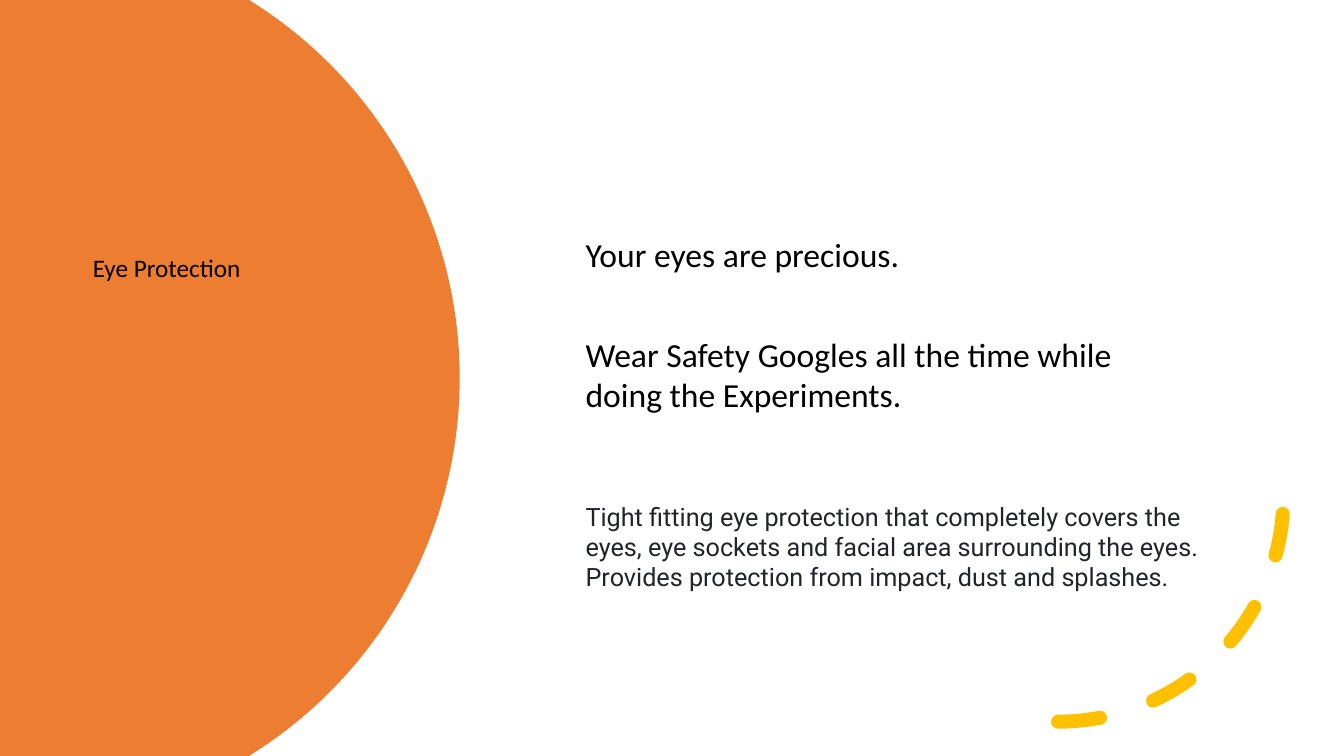
from dataclasses import dataclass
from math import asin, cos, sin

from pptx import Presentation
from pptx.dml.color import RGBColor
from pptx.enum.dml import MSO_LINE
from pptx.enum.shapes import MSO_SHAPE
from pptx.enum.text import MSO_ANCHOR, MSO_AUTO_SIZE, PP_ALIGN
from pptx.util import Emu, Pt

EMU_PER_PX = 9144
SLIDE_WIDTH, SLIDE_HEIGHT = 1333, 750
DISC_CENTER_X, DISC_CENTER_Y, DISC_RADIUS = 15, 375, 441
DISC_STEPS = 120
COLORS = {
    "disc": "ED7D31",
    "arc": "FFC000",
    "text": "000000",
    "detail": "212529",
}


@dataclass(frozen=True)
class Message:
    text: str
    left: int
    top: int
    width: int
    height: int
    size: int
    font: str = "Calibri"
    color: str = "text"
    wrap: bool = True


HEADING = Message("Eye Protection", 82, 245, 174, 40, 18, wrap=False)
ADVICE = [
    Message("Your eyes are precious.", 571, 227, 528, 50, 24),
    Message("Wear Safety Googles all the time while doing the Experiments.",
            571, 326, 564, 91, 24),
    Message("Tight fitting eye protection that completely covers the eyes, "
            "eye sockets and facial area surrounding the eyes. "
            "Provides protection from impact, dust and splashes.",
            571, 492, 667, 131, 18, "Roboto", "detail"),
]


def px(value: float) -> Emu:
    return Emu(round(value * EMU_PER_PX))


def rgb(name: str) -> RGBColor:
    return RGBColor.from_string(COLORS[name])


def draw_disc(slide) -> None:
    half_angle = asin(DISC_CENTER_Y / DISC_RADIUS)
    angles = [half_angle * (2 * step / DISC_STEPS - 1)
              for step in range(DISC_STEPS + 1)]
    rim = [(px(DISC_CENTER_X + DISC_RADIUS * cos(angle)),
            px(DISC_CENTER_Y + DISC_RADIUS * sin(angle))) for angle in angles]
    outline = slide.shapes.build_freeform(0, 0, scale=1.0)
    outline.add_line_segments([*rim, (0, px(SLIDE_HEIGHT))], close=True)
    disc = outline.convert_to_shape()
    disc.shadow.inherit = False
    disc.fill.solid()
    disc.fill.fore_color.rgb = rgb("disc")
    disc.line.fill.background()


def draw_dashed_arc(slide) -> None:
    arc = slide.shapes.add_shape(MSO_SHAPE.ARC, px(826), px(269), px(447), px(447))
    arc.shadow.inherit = False
    arc.fill.background()
    arc.line.color.rgb = rgb("arc")
    arc.line.width = Pt(10)
    arc.line.dash_style = MSO_LINE.DASH
    arc.line._get_or_add_ln().set("cap", "rnd")
    arc._element.spPr.xfrm.set("flipV", "1")


def write_message(holder, message: Message) -> None:
    holder.left, holder.top = px(message.left), px(message.top)
    holder.width, holder.height = px(message.width), px(message.height)
    frame = holder.text_frame
    frame.text = message.text
    frame.word_wrap = message.wrap
    frame.auto_size = MSO_AUTO_SIZE.NONE
    frame.vertical_anchor = MSO_ANCHOR.TOP
    paragraph = frame.paragraphs[0]
    paragraph.alignment = PP_ALIGN.LEFT
    paragraph.line_spacing = 1.0
    paragraph.font.name = message.font
    paragraph.font.size = Pt(message.size)
    paragraph.font.color.rgb = rgb(message.color)


def main() -> None:
    deck = Presentation()
    deck.slide_width, deck.slide_height = px(SLIDE_WIDTH), px(SLIDE_HEIGHT)
    slide = deck.slides.add_slide(deck.slide_layouts[5])
    draw_disc(slide)
    draw_dashed_arc(slide)
    heading = slide.shapes.title
    slide.shapes._spTree.append(heading._element)
    write_message(heading, HEADING)
    for message in ADVICE:
        write_message(slide.shapes.add_textbox(0, 0, 0, 0), message)
    deck.save("out.pptx")


if __name__ == "__main__":
    main()
